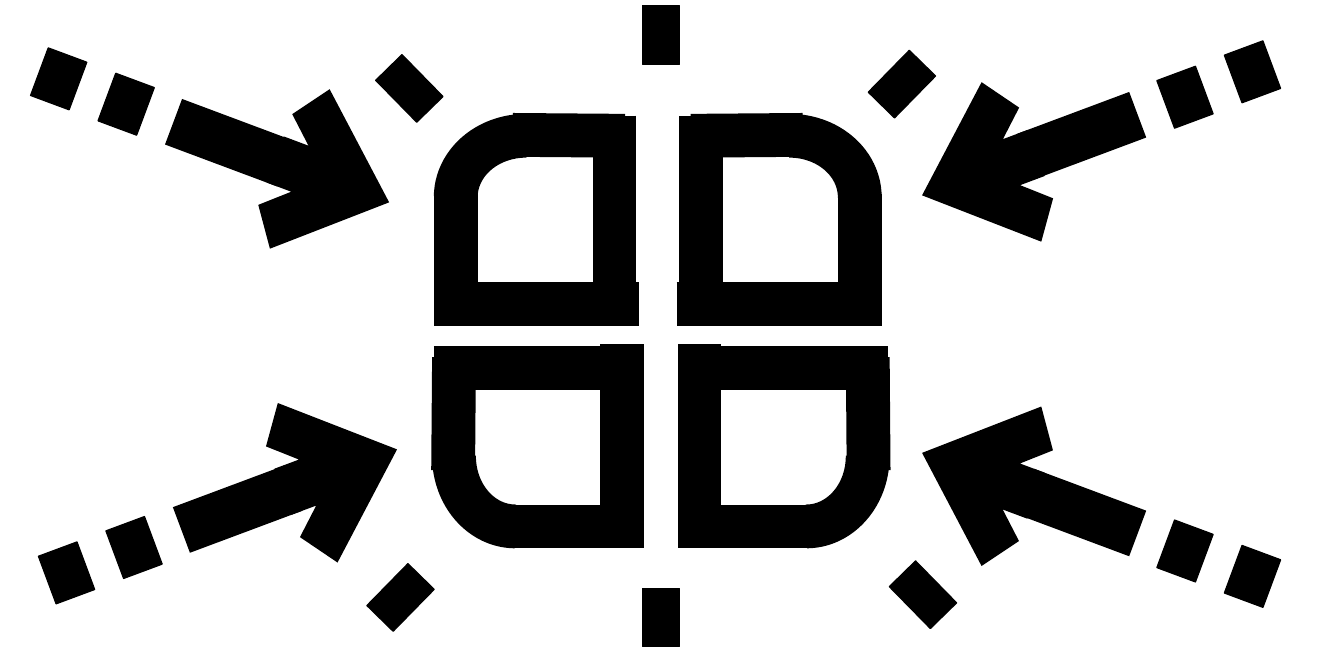
from lxml import etree
from pptx import Presentation
from pptx import util as u
from pptx.dml.color import RGBColor
from pptx.enum import shapes
from pptx.oxml.ns import qn

INK = "000000"


def paint(code):
    """Turn a hex string into a colour."""
    return RGBColor.from_string(code)


class Board:
    """Holds the style, the slide and the group being filled."""

    def __init__(self, slide, ink):
        """Start on a slide with one ink colour."""
        self.slide, self.ink = slide, ink
        self.area = slide.shapes

    def group(self):
        """Send the next elements to a new group."""
        self.area = self.slide.shapes.add_group_shape().shapes

    def free(self):
        """Send the next elements straight to the slide."""
        self.area = self.slide.shapes

    def stroke(self, item, width):
        """Set the colour and width of a line."""
        item.line.color.rgb = paint(self.ink)
        item.line.width = u.Pt(width)

    def line(self, start, end, width, arrow=False):
        """Draw a straight line, with a short arrowhead if asked."""
        item = self.area.add_connector(
            shapes.MSO_CONNECTOR.STRAIGHT,
            *[u.Inches(n) for n in (*start, *end)])
        self.stroke(item, width)
        props = item._element.spPr
        if arrow:
            etree.SubElement(props.find(qn("a:ln")), qn("a:tailEnd"),
                             type="arrow", w="med", len="sm")
        etree.SubElement(props, qn("a:effectLst"))

    def shape(self, kind, box, width):
        """Add a preset shape with its outline."""
        item = self.area.add_shape(kind, *[u.Inches(n) for n in box])
        item.shadow.inherit = False
        self.stroke(item, width)
        return item

    def block(self, mid, size, turn):
        """Draw a solid block around its centre."""
        (x, y), (w, h) = mid, size
        item = self.shape(shapes.MSO_SHAPE.RECTANGLE,
                          (x - w / 2, y - h / 2, w, h), 1)
        item.fill.solid()
        item.fill.fore_color.rgb = paint(self.ink)
        item.rotation = turn

    def arc(self, box, start, width):
        """Draw a quarter arc clockwise from an angle in degrees."""
        item = self.shape(shapes.MSO_SHAPE.ARC, box, width)
        item.fill.background()
        # Angles are 60000ths of a degree, adjustments are 100000ths
        item.adjustments[0] = start * 0.6
        item.adjustments[1] = (start + 90) % 360 * 0.6

    def dart(self, tail, dx, dy):
        """Draw an inward arrow with two blocks behind its tail."""
        self.group()
        x, y = tail
        self.line(tail, (x - 2.46 * dx, y - 0.92 * dy), 40, True)
        for out, off in ((1.31, 0.49), (0.54, 0.2)):
            self.block((x + out * dx, y + off * dy), (0.47, 0.58),
                       20.4 * dx * dy)

    def petal(self, lines, box, start, span=None):
        """Draw one petal, mirrored left to right when span is given."""
        def flip(x):
            return x if span is None else span - x

        self.group()
        x, y, w, h = box
        left = x if span is None else flip(x + w)
        self.arc((left, y, w, h), start, 36)
        for ax, ay, bx, by in lines:
            self.line((flip(ax), ay), (flip(bx), by), 36)


deck = Presentation()
deck.slide_width, deck.slide_height = u.Inches(46 / 3), u.Inches(7.5)
board = Board(deck.slides.add_slide(deck.slide_layouts[6]), INK)

UPPER = [(7.72, 3.47, 10.06, 3.47), (8, 1.32, 8, 3.31),
         (9.81, 2.22, 9.81, 3.6), (7.88, 1.55, 9.16, 1.54)]
LOWER = [(7.98, 3.93, 7.98, 6.26), (10.13, 4.2, 8.13, 4.2),
         (9.23, 6.01, 7.85, 6.01), (9.9, 4.08, 9.91, 5.37)]
# Edges, arc box, right and left arc starts, sum of mirrored x values
PETALS = [(UPPER, (8.21, 1.55, 1.6, 1.4), 270, 180, 15.01),
          (LOWER, (8.5, 4.41, 1.4, 1.6), 0, 90, 15.08)]
for lines, box, right, left, span in PETALS:
    board.petal(lines, box, right)
    board.petal(lines, box, left, span)

# Arrow tails and the way out from the centre
DARTS = [((12.98, 1.31), 1, -1), ((12.98, 6.09), 1, 1),
         ((1.98, 1.39), -1, -1), ((2.07, 6.05), -1, 1)]
for dart in DARTS:
    board.dart(*dart)

RAYS = [(10.29, 0.96, -45.6), (4.57, 6.82, -45.6), (4.67, 1.01, 45.6),
        (10.53, 6.79, 45.6), (7.54, 0.4, 90), (7.54, 7.05, 90)]
board.free()
for x, y, turn in RAYS:
    board.block((x, y), (0.67, 0.42), turn)

deck.save("out.pptx")
